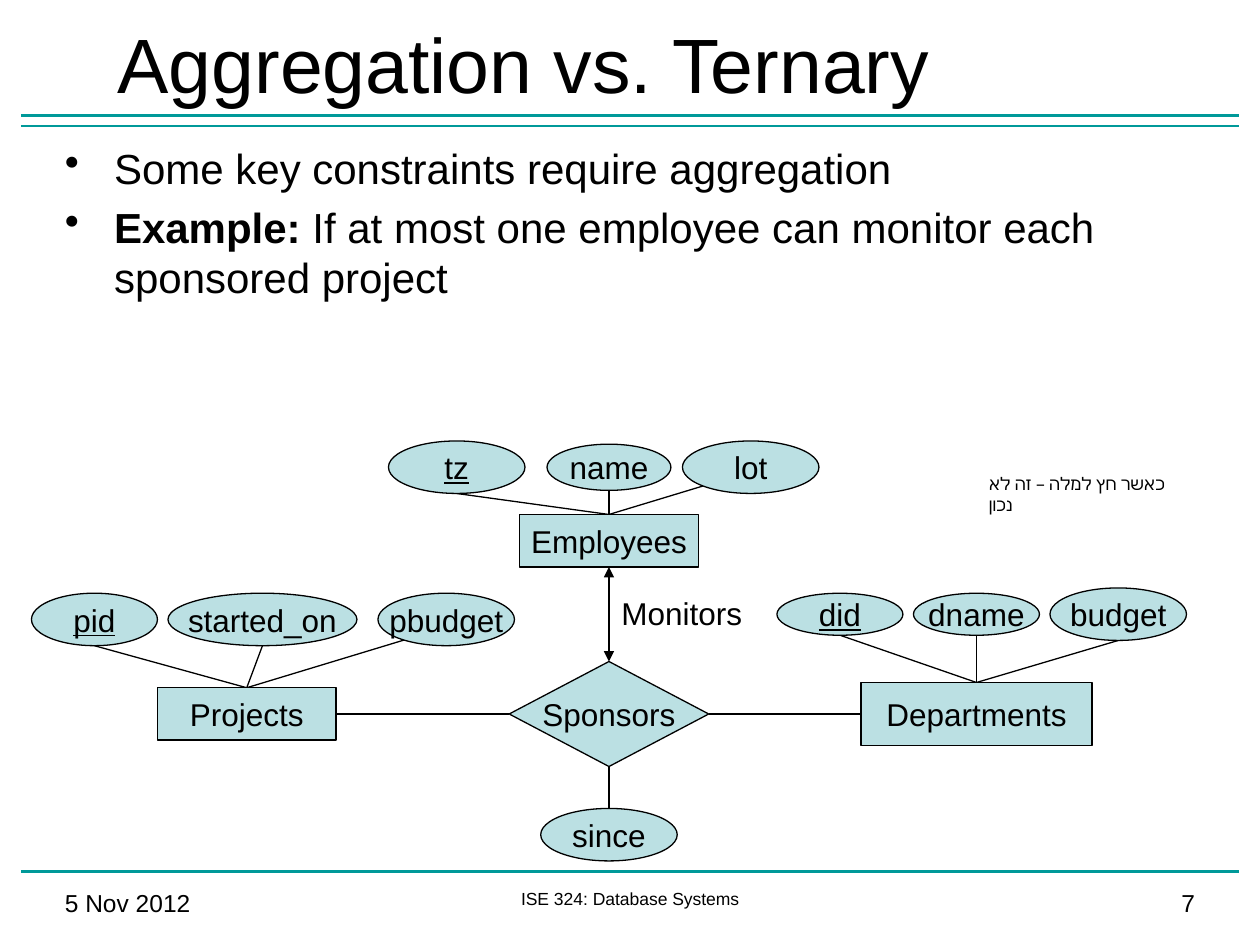
from pptx import Presentation
from pptx import util as u
from pptx.dml.color import RGBColor
from pptx.enum import shapes, text
from pptx.oxml.ns import qn
from lxml import etree

COLORS = {"ink": "000000", "rule": "009999", "node": "BBE0E3"}
FONT = "Arial"
COLS, ROWS = 120, 90
A, V = text.PP_ALIGN, text.MSO_ANCHOR


def color(name):
    return RGBColor.from_string(COLORS[name])


def write(tf, *paragraphs, size=18, align=A.LEFT, anchor=V.TOP, wrap=True,
          underline=False, bullet=False):
    """Fill a text frame; each paragraph is a string or a list of (text, bold) runs."""
    tf.word_wrap, tf.vertical_anchor = wrap, anchor
    tf.auto_size = text.MSO_AUTO_SIZE.NONE
    for i, runs in enumerate(paragraphs):
        p = tf.add_paragraph() if i else tf.paragraphs[0]
        p.alignment = align
        for content, bold in [(runs, False)] if isinstance(runs, str) else runs:
            r = p.add_run()
            r.text = content
            f = r.font
            f.name, f.size, f.bold, f.underline = FONT, u.Pt(size), bold, underline
            f.color.rgb = color("ink")
        if bullet:
            p.space_before = u.Pt(size * 0.2)
            pPr = p._p.get_or_add_pPr()
            pPr.set("marL", str(u.Inches(0.39)))
            pPr.set("indent", str(-u.Inches(0.39)))
            etree.SubElement(pPr, qn("a:buChar")).set("char", "•")


class Deck:
    """Holds the grid, the presentation and the current slide."""

    def __init__(self):
        self.prs = Presentation()
        self.prs.slide_width, self.prs.slide_height = u.Inches(10), u.Inches(7.5)
        self.s = self.prs.slides.add_slide(self.prs.slide_layouts[5])

    def x(self, col):
        return round(self.prs.slide_width * col / COLS)

    def y(self, row):
        return round(self.prs.slide_height * row / ROWS)

    def box(self, col, row, cols, rows):
        return self.x(col), self.y(row), self.x(cols), self.y(rows)

    def title(self, content, *place):
        sp = self.s.shapes.title
        sp.left, sp.top, sp.width, sp.height = self.box(*place)
        write(sp.text_frame, content, size=44, anchor=V.MIDDLE)

    def label(self, place, *paragraphs, **style):
        sp = self.s.shapes.add_textbox(*self.box(*place))
        write(sp.text_frame, *paragraphs, **style)

    def node(self, kind, content, place, key=False):
        sp = self.s.shapes.add_shape(kind, *self.box(*place))
        sp.shadow.inherit = False
        sp.fill.solid()
        sp.fill.fore_color.rgb = color("node")
        sp.line.color.rgb, sp.line.width = color("ink"), u.Pt(0.75)
        write(sp.text_frame, content, align=A.CENTER, anchor=V.MIDDLE,
              wrap=False, underline=key)

    def line(self, start, end, tint="ink", width=0.75, arrows=False):
        c = self.s.shapes.add_connector(
            shapes.MSO_CONNECTOR.STRAIGHT,
            self.x(start[0]), self.y(start[1]), self.x(end[0]), self.y(end[1]))
        c.line.color.rgb, c.line.width = color(tint), u.Pt(width)
        if arrows:
            for tag in ("a:headEnd", "a:tailEnd"):
                etree.SubElement(c.line._ln, qn(tag)).set("type", "triangle")
        etree.SubElement(c._element.spPr, qn("a:effectLst"))

    def entity(self, name, place, attributes):
        """Draw an entity with links from its top to (name, place, key, link start) attributes."""
        col, row, cols, _ = place
        for _, (c, r, w, h), _, start in attributes:
            self.line(start or (c + w / 2, r + h), (col + cols / 2, row))
        self.node(shapes.MSO_SHAPE.RECTANGLE, name, place)
        for label, spot, key, _ in attributes:
            self.node(shapes.MSO_SHAPE.OVAL, label, spot, key)


def main():
    d = Deck()
    for row in (11, 12, 83):
        d.line((2, row), (118, row), "rule", 1.5)
    d.title("Aggregation vs. Ternary", 10, 0, 105, 12)
    d.label((5, 13, 110, 69),
            "Some key constraints require aggregation",
            [("Example:", True),
             (" If at most one employee can monitor each sponsored project", False)],
            size=24, bullet=True)

    d.entity("Projects", (15, 65.5, 17, 5), [
        ("pid", (3, 56.5, 12, 5), True, None),
        ("started_on", (16, 56.5, 18, 5), False, None),
        ("pbudget", (36, 56.5, 13, 5), False, (40, 60.5))])
    d.entity("Departments", (82, 65, 22, 6), [
        ("did", (74, 56.5, 12, 4), True, None),
        ("dname", (87, 56.5, 12, 4), False, None),
        ("budget", (100, 56, 13, 5), False, None)])
    d.entity("Employees", (49.5, 49, 17, 5), [
        ("tz", (37, 42, 13, 5), True, None),
        ("name", (52.1, 42.3, 11.8, 4.4), False, None),
        ("lot", (65, 42, 13, 5), False, (74.5, 44))])

    d.line((32, 68), (48.5, 68))
    d.line((67.5, 68), (82, 68))
    d.line((58, 73), (58, 77))
    d.line((58, 54), (58, 63), arrows=True)
    d.node(shapes.MSO_SHAPE.DIAMOND, "Sponsors", (48.5, 63, 19, 10))
    d.node(shapes.MSO_SHAPE.OVAL, "since", (51.5, 77, 13, 5))
    d.label((58, 56, 14, 4.8), "Monitors", wrap=False)
    d.label((93, 44.5, 20.9, 3.2), "כאשר חץ למלה – זה לא נכון", size=10)

    d.label((5, 84, 29, 4), "5 Nov 2012", size=14)
    d.label((37, 84, 46, 4), "ISE 324: Database Systems", size=10, align=A.CENTER)
    d.label((86, 84, 29, 4), "7", size=14, align=A.RIGHT)
    d.prs.save("out.pptx")


if __name__ == "__main__":
    main()
